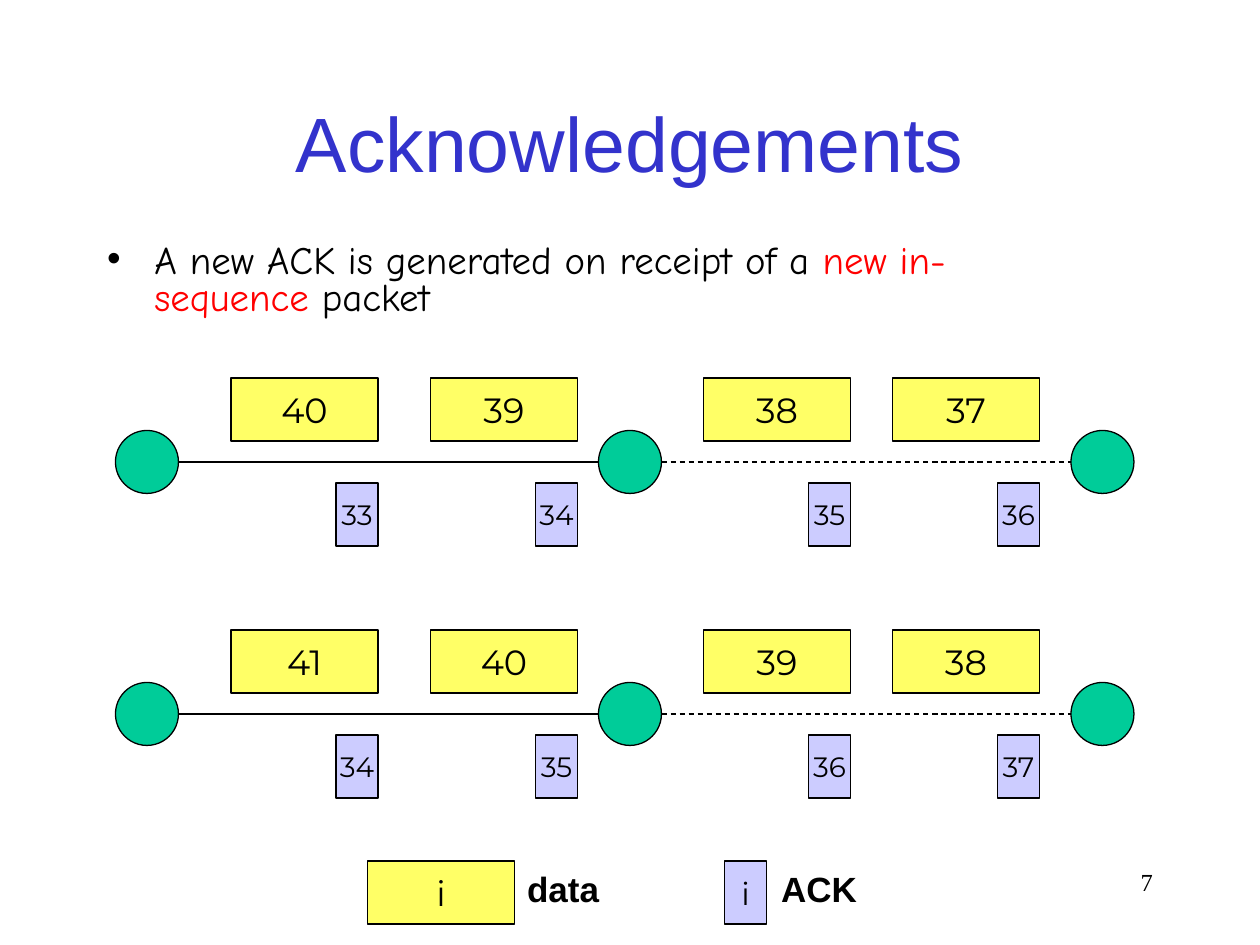
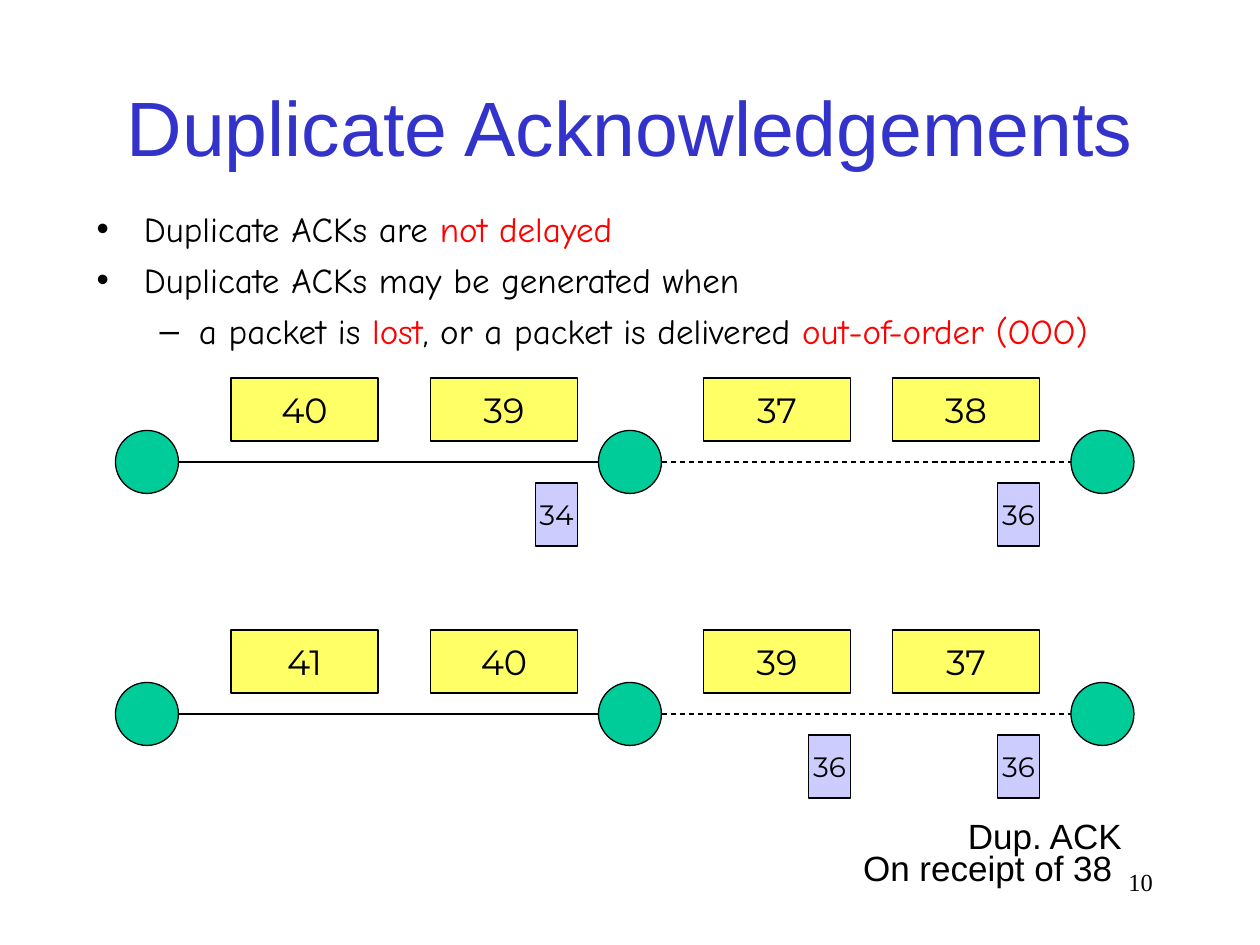
import dataclasses

import pptx
import pptx.dml.color
import pptx.enum.dml
import pptx.enum.shapes
import pptx.enum.text
import pptx.oxml
import pptx.oxml.ns
import pptx.util

Pt = pptx.util.Pt
Align = pptx.enum.text.PP_ALIGN
Anchor = pptx.enum.text.MSO_ANCHOR
AutoSize = pptx.enum.text.MSO_AUTO_SIZE
Preset = pptx.enum.shapes.MSO_SHAPE


@dataclasses.dataclass(frozen=True)
class Theme:
    ink: str = "000000"
    title: str = "3333CC"
    emphasis: str = "FF0000"
    node: str = "00CC99"
    data: str = "FFFF66"
    ack: str = "CCCCFF"
    label_font: str = "Arial"
    body_font: str = "Comic Neue"
    packet_font: str = "Montserrat"
    number_font: str = "Times New Roman"
    title_size: float = 44
    data_size: float = 20
    ack_size: float = 16
    legend_ack_size: float = 18
    label_size: float = 20
    number_size: float = 14
    line_width: float = 0.75


THEME = Theme()

# Packet geometry, relative to the left top corner of a path
NODE = 36
DATA_WIDTH, ACK_WIDTH, PACKET_HEIGHT = 84, 24, 36
NODE_LEFTS = (0, 276, 546)
DATA_LEFTS = (66, 180, 336, 444)
NODE_TOP, ACK_TOP = 30, 60
PATH_LEFT, PATH_TOPS = 66, (216, 360)

# Bullet character, left margin and hanging indent for each level
BULLETS = (("•", 27, -27), ("–", 58.5, -22.5))


def rgb(value):
    return pptx.dml.color.RGBColor.from_string(value)


def write_text(paragraph, text, *, size, font=THEME.label_font,
               color=THEME.ink, bold=False, align=None):
    run = paragraph.add_run()
    run.text = text
    run.font.size = Pt(size)
    run.font.name = font
    run.font.bold = bold
    run.font.color.rgb = rgb(color)
    if align is not None:
        paragraph.alignment = align


def place(shape, box):
    shape.left, shape.top, shape.width, shape.height = map(Pt, box)


def add_label(slide, box, text, *, wrap=False, **style):
    label = slide.shapes.add_textbox(*map(Pt, box))
    label.text_frame.word_wrap = wrap
    label.text_frame.auto_size = AutoSize.NONE if wrap else AutoSize.SHAPE_TO_FIT_TEXT
    write_text(label.text_frame.paragraphs[0], text, **style)


def add_outlined(slide, preset, box, fill):
    shape = slide.shapes.add_shape(preset, *map(Pt, box))
    shape.shadow.inherit = False
    shape.fill.solid()
    shape.fill.fore_color.rgb = rgb(fill)
    shape.line.color.rgb = rgb(THEME.ink)
    shape.line.width = Pt(THEME.line_width)
    return shape


def add_packet(slide, left, top, text, *, width, fill, size):
    packet = add_outlined(slide, Preset.RECTANGLE,
                          (left, top, width, PACKET_HEIGHT), fill)
    packet.text_frame.word_wrap = False
    packet.text_frame.vertical_anchor = Anchor.MIDDLE
    write_text(packet.text_frame.paragraphs[0], text, size=size,
               font=THEME.packet_font, align=Align.CENTER)


def add_data(slide, left, top, text):
    add_packet(slide, left, top, text, width=DATA_WIDTH,
               fill=THEME.data, size=THEME.data_size)


def add_ack(slide, left, top, text, size=THEME.ack_size):
    add_packet(slide, left, top, text, width=ACK_WIDTH, fill=THEME.ack, size=size)


def add_link(slide, start, end, y, dashed):
    link = slide.shapes.add_connector(
        pptx.enum.shapes.MSO_CONNECTOR.STRAIGHT, Pt(start), Pt(y), Pt(end), Pt(y))
    link.line.color.rgb = rgb(THEME.ink)
    link.line.width = Pt(THEME.line_width)
    if dashed:
        link.line.dash_style = pptx.enum.dml.MSO_LINE.DASH
    properties = link._element.spPr
    properties.append(pptx.oxml.parse_xml(
        f'<a:effectLst {pptx.oxml.ns.nsdecls("a")}/>'))


def add_path(slide, left, top, data, acks):
    """Three nodes with data above the links and ACKs below; None leaves a gap."""
    for offset in NODE_LEFTS:
        add_outlined(slide, Preset.OVAL,
                     (left + offset, top + NODE_TOP, NODE, NODE), THEME.node)
    for index, (start, end) in enumerate(zip(NODE_LEFTS, NODE_LEFTS[1:])):
        add_link(slide, left + start + NODE, left + end,
                 top + NODE_TOP + NODE / 2, dashed=index == 1)
    for offset, data_number, ack_number in zip(DATA_LEFTS, data, acks):
        add_data(slide, left + offset, top, str(data_number))
        if ack_number is not None:
            add_ack(slide, left + offset + DATA_WIDTH - ACK_WIDTH,
                    top + ACK_TOP, str(ack_number))


def add_legend(slide, left, top):
    style = dict(size=THEME.label_size, bold=True, align=Align.CENTER)
    add_data(slide, left, top, "i")
    add_label(slide, (left + 82, top, 59.5, 32), "data", **style)
    add_ack(slide, left + 204, top, "i", size=THEME.legend_ack_size)
    add_label(slide, (left + 227, top, 62, 32), "ACK", **style)


def add_duplicate_note(slide, left, top):
    add_label(slide, (left + 60, top, 106, 32), "Dup. ACK",
              size=THEME.label_size, align=Align.LEFT)
    add_label(slide, (left - 1.5, top + 18, 160, 32), "On receipt of 38",
              size=THEME.label_size, align=Align.CENTER)


def fill_title(slide, box, text):
    title = slide.shapes.title
    place(title, box)
    title.text_frame.vertical_anchor = Anchor.MIDDLE
    title.text_frame.auto_size = AutoSize.NONE
    write_text(title.text_frame.paragraphs[0], text, size=THEME.title_size,
               color=THEME.title, align=Align.CENTER)


def set_bullet(paragraph, level):
    character, margin, indent = BULLETS[level]
    paragraph.level = level
    properties = paragraph._p.get_or_add_pPr()
    properties.set("marL", str(Pt(margin)))
    properties.set("indent", str(Pt(indent)))
    namespace = pptx.oxml.ns.nsdecls("a")
    for xml in (f'<a:buClr {namespace}><a:srgbClr val="{THEME.ink}"/></a:buClr>',
                f'<a:buFont {namespace} typeface="{THEME.label_font}"/>',
                f'<a:buChar {namespace} char="{character}"/>'):
        properties.append(pptx.oxml.parse_xml(xml))


def fill_points(slide, box, points, *, size, space_before, line_spacing=1.0):
    """Each point is its level and its parts; every second part is emphasised."""
    body = slide.placeholders[1]
    place(body, box)
    frame = body.text_frame
    frame.auto_size = AutoSize.NONE
    for index, (level, *parts) in enumerate(points):
        paragraph = frame.add_paragraph() if index else frame.paragraphs[0]
        paragraph.alignment = Align.LEFT
        paragraph.line_spacing = line_spacing
        paragraph.space_before = Pt(space_before)
        set_bullet(paragraph, level)
        for position, part in enumerate(parts):
            write_text(paragraph, part, size=size, font=THEME.body_font,
                       color=THEME.emphasis if position % 2 else THEME.ink)


def add_packet_slide(deck, title, title_height, number, paths):
    slide = deck.slides.add_slide(deck.slide_layouts[1])
    fill_title(slide, (54, 48, 612, title_height), title)
    add_label(slide, (516, 492, 150, 36), number, wrap=True,
              size=THEME.number_size, font=THEME.number_font, align=Align.RIGHT)
    for top, (data, acks) in zip(PATH_TOPS, paths):
        add_path(slide, PATH_LEFT, top, data, acks)
    return slide


def main():
    deck = pptx.Presentation()
    deck.slide_width, deck.slide_height = Pt(720), Pt(540)

    # Acknowledgements in sequence
    in_order = add_packet_slide(deck, "Acknowledgements", 65.5, "7", [
        ((40, 39, 38, 37), (33, 34, 35, 36)),
        ((41, 40, 39, 38), (34, 35, 36, 37)),
    ])
    fill_points(in_order, (54, 136, 564.5, 52.5), [
        (0, "A new ACK is generated on receipt of a ", "new in-sequence", " packet"),
    ], size=22.2, space_before=6, line_spacing=0.8)
    add_legend(in_order, 210, 492)

    # Duplicate acknowledgements
    duplicates = add_packet_slide(deck, "Duplicate Acknowledgements", 48, "10", [
        ((40, 39, 37, 38), (None, 34, None, 36)),
        ((41, 40, 39, 37), (None, None, 36, 36)),
    ])
    fill_points(duplicates, (48, 115, 653, 90.5), [
        (0, "Duplicate ACKs are ", "not delayed"),
        (0, "Duplicate ACKs may be generated when"),
        (1, "a packet is ", "lost", ", or a packet is delivered ", "out-of-order (OOO)"),
    ], size=20, space_before=5)
    add_duplicate_note(duplicates, 486, 462)

    deck.save("out.pptx")


if __name__ == "__main__":
    main()
